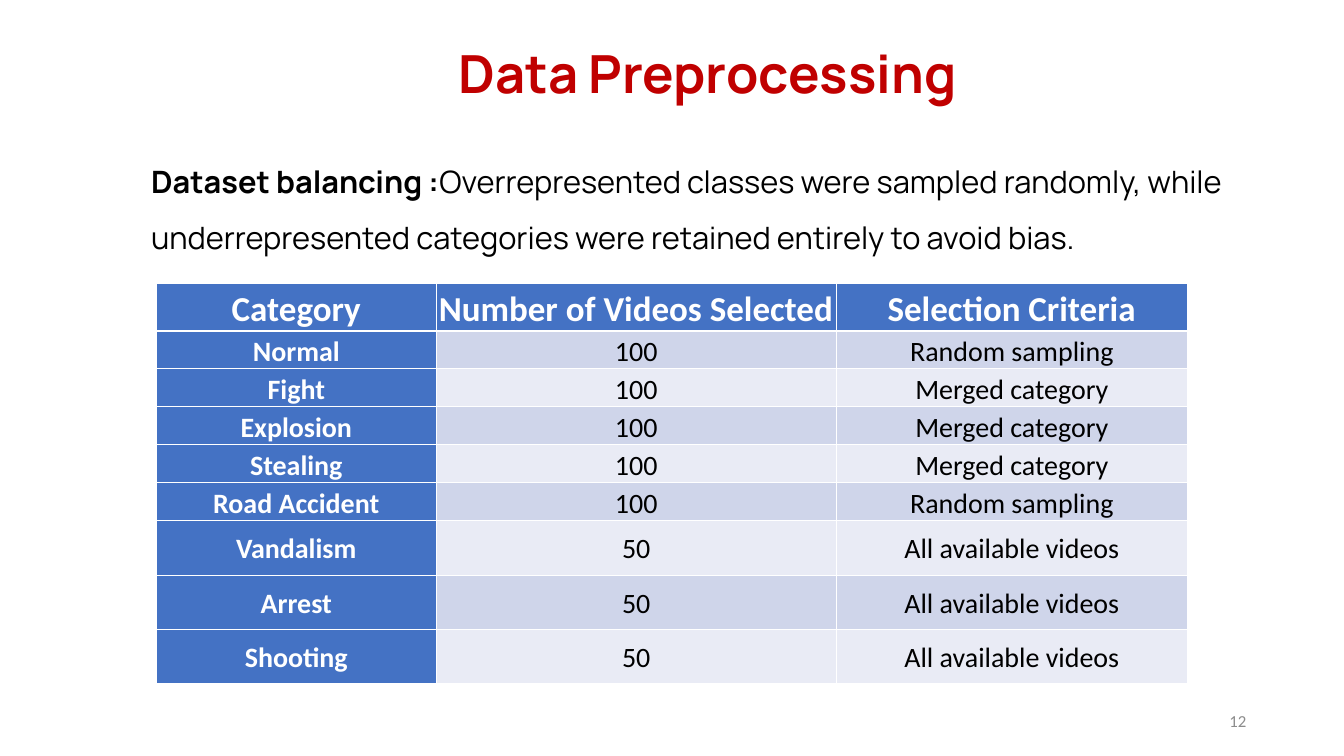
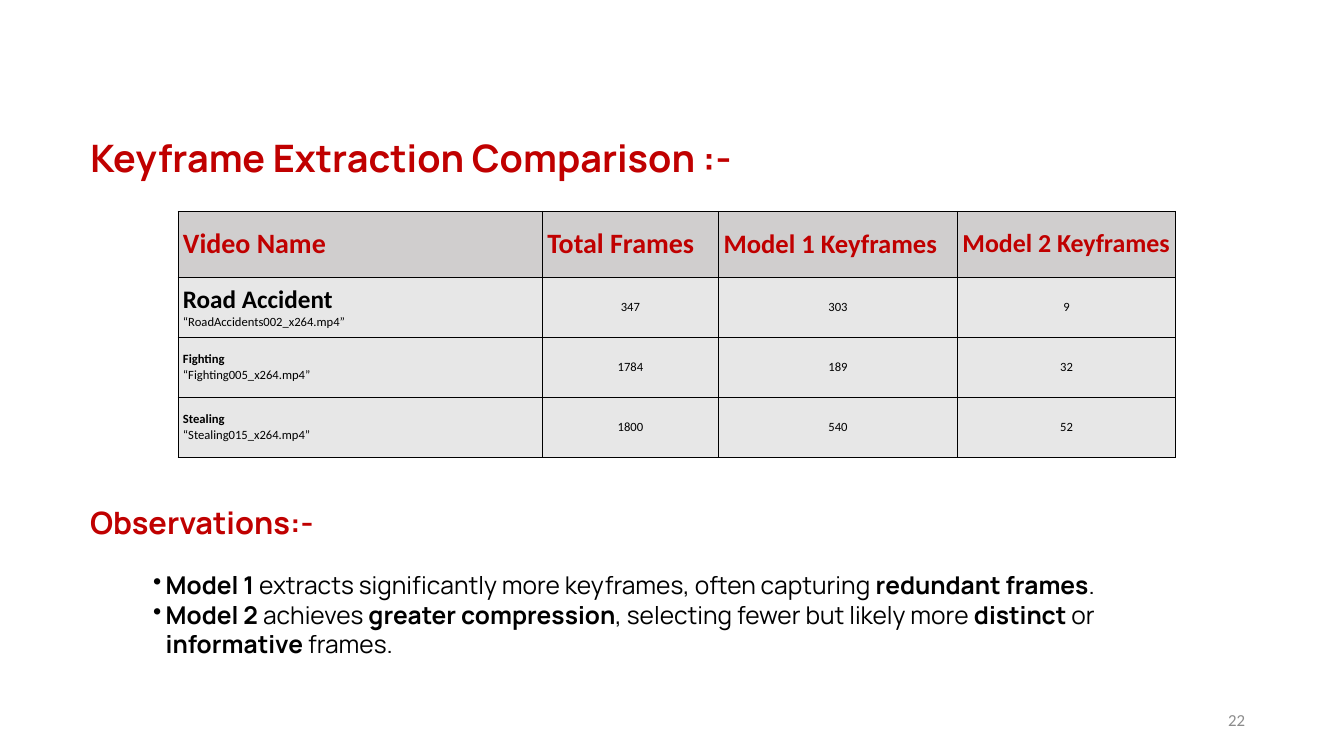
import pptx
import pptx.util
import pptx.dml.color
import pptx.enum.text
import pptx.oxml
import pptx.oxml.ns
from lxml import etree

WIDTH, HEIGHT = pptx.util.Inches(26.67), pptx.util.Inches(15)
HEAD_FONT, TABLE_FONT = "Manrope", "Calibri"
RED, BLACK, WHITE, GREY = "C00000", "000000", "FFFFFF", "8C8C8C"
BLUE, BANDS = "4472C4", ("CFD5EA", "E9EBF5")
HEADER_GREY, CELL_GREY = "D0CECE", "E7E7E7"

ALIGN = pptx.enum.text.PP_ALIGN
ANCHOR = pptx.enum.text.MSO_ANCHOR


def color(value):
    return pptx.dml.color.RGBColor.from_string(value)


def across(percent):
    return round(WIDTH * percent / 100)


def down(percent):
    return round(HEIGHT * percent / 100)


def area(left, top, width, height):
    """Turn percentages of the slide into a left, top, width, height box."""
    return across(left), down(top), across(width), down(height)


def format_run(r, size, value, bold=False, font=TABLE_FONT):
    r.font.name = font
    r.font.size = pptx.util.Pt(size)
    r.font.bold = bold
    r.font.color.rgb = color(value)


def add_rich_text(p, text, size, value, font=HEAD_FONT):
    """Write text in which **double stars** enclose the bold parts."""
    for i, part in enumerate(text.split("**")):
        if part:
            r = p.add_run()
            r.text = part
            format_run(r, size, value, i % 2 == 1, font)


def add_bullet(p):
    pPr = p._p.get_or_add_pPr()
    pPr.set("marL", str(pptx.util.Inches(1.5)))
    pPr.set("indent", str(pptx.util.Inches(-0.25)))
    etree.SubElement(pPr, pptx.oxml.ns.qn("a:buChar"), char="•")


def add_text_box(s, box):
    tf = s.shapes.add_textbox(*box).text_frame
    tf.word_wrap = True
    return tf


def add_title_slide(prs, title, box, size, align):
    s = prs.slides.add_slide(prs.slide_layouts[5])
    sp = s.shapes.title
    sp.left, sp.top, sp.width, sp.height = box
    tf = sp.text_frame
    tf.text = title
    tf.auto_size = pptx.enum.text.MSO_AUTO_SIZE.NONE
    tf.vertical_anchor = ANCHOR.TOP
    tf.paragraphs[0].alignment = align
    format_run(tf.paragraphs[0].runs[0], size, RED, True, HEAD_FONT)
    return s


def add_slide_number(s, number, box, align):
    tf = add_text_box(s, box)
    tf.text = number
    tf.vertical_anchor = ANCHOR.MIDDLE
    tf.paragraphs[0].alignment = align
    format_run(tf.paragraphs[0].runs[0], 24, GREY)


def set_borders(cell, value, bottom=1):
    tcPr = cell._tc.get_or_add_tcPr()
    for side, width in zip("LRTB", (1, 1, 1, bottom)):
        tcPr.append(pptx.oxml.parse_xml(
            f'<a:ln{side} {pptx.oxml.ns.nsdecls("a")} w="{pptx.util.Pt(width)}">'
            f'<a:solidFill><a:srgbClr val="{value}"/></a:solidFill></a:ln{side}>'))


def fill_cell(cell, text, fill, align):
    cell.fill.solid()
    cell.fill.fore_color.rgb = color(fill)
    cell.vertical_anchor = ANCHOR.MIDDLE
    cell.text_frame.text = text
    for p in cell.text_frame.paragraphs:
        p.alignment = align


def add_table(s, left, top, columns, heights, rows):
    """Add a plain table and yield row number, column number, cell and text."""
    box = area(left, top, sum(columns), sum(heights))
    table = s.shapes.add_table(len(rows), len(columns), *box).table
    table.first_row = table.horz_banding = False
    for column, width in zip(table.columns, columns):
        column.width = across(width)
    for row, height in zip(table.rows, heights):
        row.height = down(height)
    for i, texts in enumerate(rows):
        for j, text in enumerate(texts):
            yield i, j, table.cell(i, j), text


def add_selection_table(s):
    sampled, merged, every = "Random sampling", "Merged category", "All available videos"
    rows = [
        ("Category", "Number of Videos Selected", "Selection Criteria"),
        ("Normal", "100", sampled),
        ("Fight", "100", merged),
        ("Explosion", "100", merged),
        ("Stealing", "100", merged),
        ("Road Accident", "100", sampled),
        ("Vandalism", "50", every),
        ("Arrest", "50", every),
        ("Shooting", "50", every),
    ]
    heights = [6.27] + [5] * 5 + [7.2] * 3
    for i, j, cell, text in add_table(s, 11.62, 37.47, (20.85, 29.73, 26.17), heights, rows):
        heading = i == 0 or j == 0
        set_borders(cell, WHITE, 3 if i == 0 else 1)
        fill_cell(cell, text, BLUE if heading else BANDS[(i - 1) % 2], ALIGN.CENTER)
        margin = pptx.util.Inches(0.01)
        cell.margin_left = cell.margin_right = cell.margin_top = cell.margin_bottom = margin
        p = cell.text_frame.paragraphs[0]
        p.line_spacing = 1.1
        format_run(p.runs[0], 50 if i == 0 else 40, WHITE if heading else BLACK, heading)


def add_keyframe_table(s):
    rows = [
        ("Video Name", "Total Frames", "Model 1 Keyframes", "Model 2 Keyframes"),
        ("Road Accident\n“RoadAccidents002_x264.mp4”", "347", "303", "9"),
        ("Fighting\n“Fighting005_x264.mp4”", "1784", "189", "32"),
        ("Stealing\n“Stealing015_x264.mp4”", "1800", "540", "52"),
    ]
    header_sizes = (40, 40, 38, 37)
    columns, heights = (27.11, 13.12, 17.77, 16.24), [8.73] + [7.93] * 3
    for i, j, cell, text in add_table(s, 13.24, 27.93, columns, heights, rows):
        set_borders(cell, BLACK)
        fill_cell(cell, text, CELL_GREY if i else HEADER_GREY,
                  ALIGN.CENTER if i and j else ALIGN.LEFT)
        for k, p in enumerate(cell.text_frame.paragraphs):
            if i == 0:
                format_run(p.runs[0], header_sizes[j], RED, True)
            else:
                video_class = j == 0 and k == 0
                size = 36 if video_class and i == 1 else 18
                format_run(p.runs[0], size, BLACK, video_class)


def add_observations(s):
    tf = add_text_box(s, area(6.34, 66.33, 82.49, 21.33))
    add_rich_text(tf.paragraphs[0], "**Observations:-**", 44, RED)
    findings = (
        ("**Model 1 **extracts significantly more keyframes, often capturing "
         "**redundant frames**.", 2),
        ("**Model 2 **achieves **greater compression**, selecting fewer but likely more "
         "**distinct** or **informative** frames.", 1),
    )
    for text, spacing in findings:
        p = tf.add_paragraph()
        add_bullet(p)
        p.line_spacing = float(spacing)
        add_rich_text(p, text, 35, BLACK)


def add_preprocessing_slide(prs):
    s = add_title_slide(prs, "Data Preprocessing", area(27.07, 5.07, 51.14, 16.47),
                        75, ALIGN.CENTER)
    add_slide_number(s, "12", area(70.6, 92.67, 22.5, 5.33), ALIGN.RIGHT)
    add_selection_table(s)
    p = add_text_box(s, area(10.87, 18.8, 83.61, 14.8)).paragraphs[0]
    p.line_spacing = 1.5
    add_rich_text(p, "**Dataset balancing :**Overrepresented classes were sampled randomly, "
                  "while underrepresented categories were retained entirely to avoid bias.",
                  44, BLACK)


def add_comparison_slide(prs):
    s = add_title_slide(prs, "Keyframe Extraction Comparison :-",
                        area(6.34, 17.53, 60.14, 6.73), 54, ALIGN.LEFT)
    add_slide_number(s, "22", area(80.76, 92.53, 22.5, 5.33), ALIGN.CENTER)
    add_keyframe_table(s)
    add_observations(s)


def main():
    prs = pptx.Presentation()
    prs.slide_width, prs.slide_height = WIDTH, HEIGHT
    add_preprocessing_slide(prs)
    add_comparison_slide(prs)
    prs.save("out.pptx")


if __name__ == "__main__":
    main()
